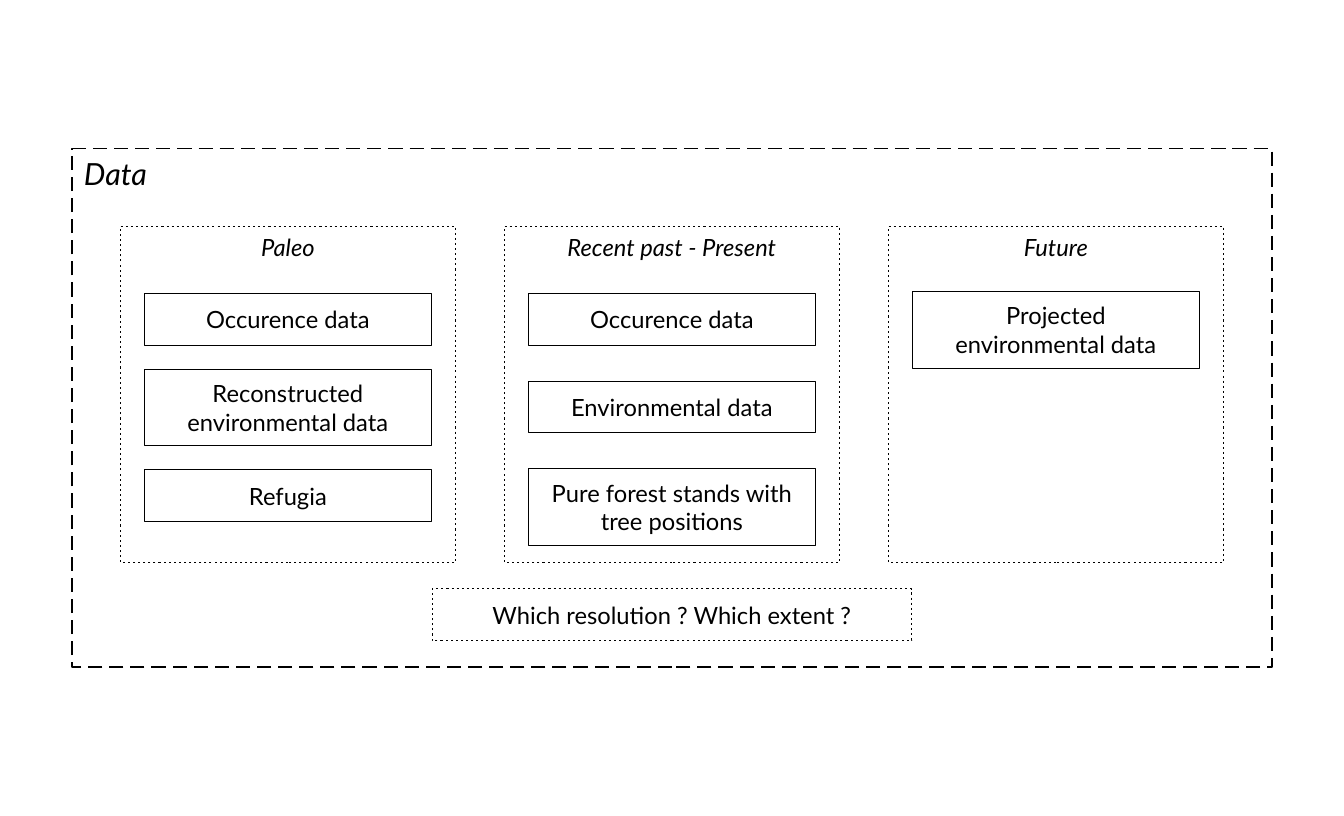
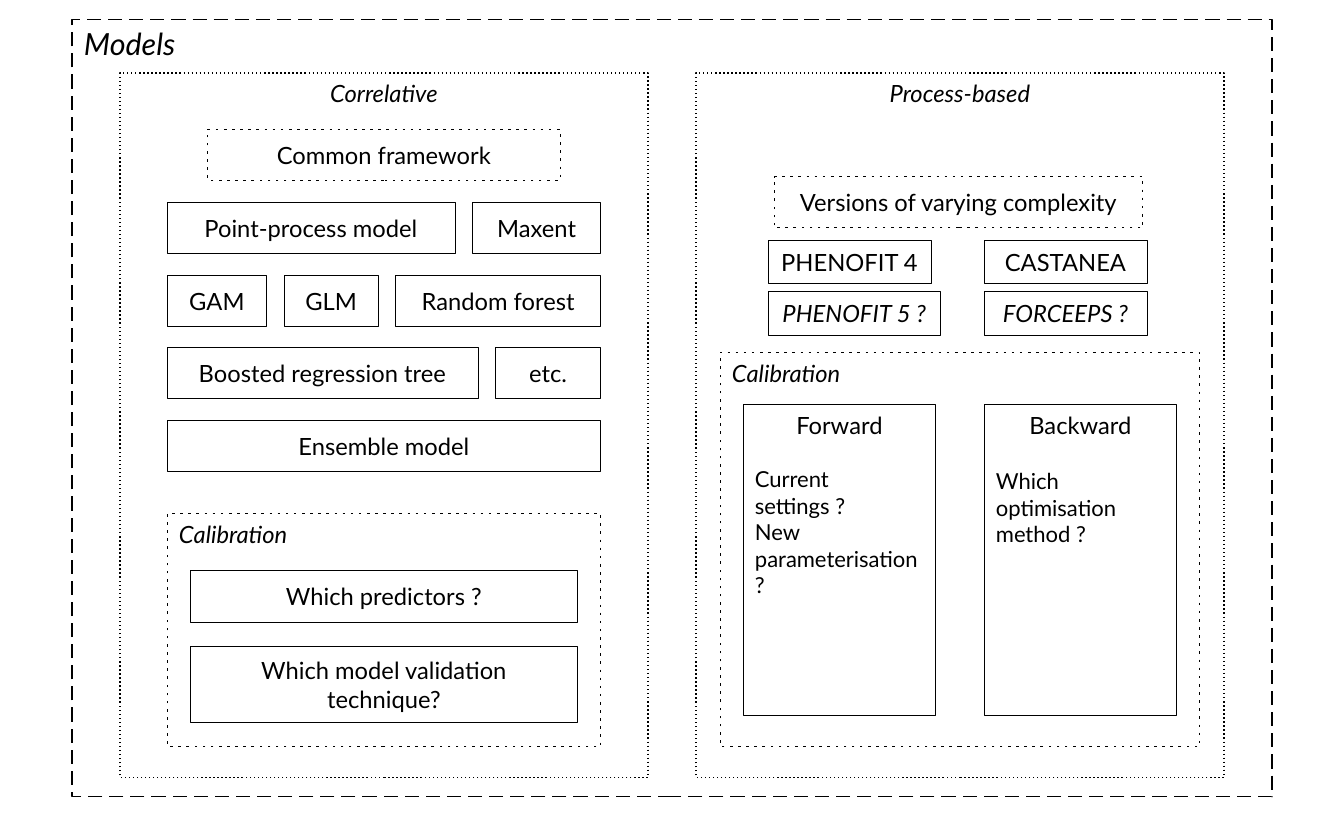
import pptx
import pptx.util
import pptx.dml.color
import pptx.enum.shapes
import pptx.enum.text
import pptx.oxml
import pptx.oxml.ns

Cm = pptx.util.Cm
Pt = pptx.util.Pt
ALIGN = pptx.enum.text.PP_ALIGN
ANCHOR = pptx.enum.text.MSO_ANCHOR

COLORS = {"ink": "000000"}
FONT = "Lato"
BOX_H, TALL_H, BOX_GAP = 1.07, 1.6, 0.5
STYLES = {
    "frame": (0.79, (1050, 520)),
    "column": (0.79, (100, 200)),
    "dotted": (0.5, (240, 350)),
    "loose": (0.5, (300, 640)),
    "solid": (0.5, None),
}

DATA_COLUMNS = [
    ("Paleo", 6.12, BOX_GAP, [
        (["Occurence data"], BOX_H),
        (["Reconstructed environmental data"], TALL_H),
        (["Refugia"], BOX_H)]),
    ("Recent past - Present", 6.12, 0.75, [
        (["Occurence data"], BOX_H),
        (["Environmental data"], BOX_H),
        (["Pure forest stands with tree positions"], TALL_H)]),
    ("Future", 6.07, BOX_GAP, [
        (["Projected", "environmental data"], TALL_H)]),
]
DATA_QUESTION = "Which resolution ? Which extent ?"

MODEL_COLUMNS = ["Correlative", "Process-based"]
CORRELATIVE_ROWS = [
    [("Point-process model", 6), ("Maxent", 2.68)],
    [("GAM", 2.08), ("GLM", 1.96), ("Random forest", 4.28)],
    [("Boosted regression tree", 6.48), ("etc.", 2.2)],
    [("Ensemble model", 9.04)],
]
CORRELATIVE_CALIBRATION = [
    ("Which predictors ?", BOX_H),
    ("Which model validation technique?", TALL_H),
]
PROCESS_MODELS = [
    ("PHENOFIT 4", 16, 5, 3.4, False),
    ("CASTANEA", 20.5, 5, 3.4, False),
    ("PHENOFIT 5 ?", 16, 6.07, 3.6, True),
    ("FORCEEPS ?", 20.5, 6.07, 3.4, True),
]
PROCESS_CALIBRATION = [
    ("Forward", 15.6, ["Current settings ?", "New parameterisation ?"]),
    ("Backward", 16.8, ["Which optimisation method ?"]),
]


def add_text(tf, text, size=14, italic=False, align=ALIGN.CENTER, first=False, before=0):
    p = tf.paragraphs[0] if first else tf.add_paragraph()
    p.alignment = align
    if before:
        p.space_before = Pt(before)
    r = p.add_run()
    r.text = text
    r.font.name = FONT
    r.font.size = Pt(size)
    r.font.italic = italic
    r.font.bold = False
    r.font.color.rgb = pptx.dml.color.RGBColor.from_string(COLORS["ink"])


def format_box(sp, style, anchor):
    width, dash = STYLES[style]
    sp.fill.background()
    sp.line.color.rgb = pptx.dml.color.RGBColor.from_string(COLORS["ink"])
    sp.line.width = Pt(width)
    if dash:
        ns = pptx.oxml.ns.nsdecls("a")
        on, off = (n * 1000 for n in dash)
        sp.line.fill._xPr.append(pptx.oxml.parse_xml(
            f'<a:custDash {ns}><a:ds d="{on}" sp="{off}"/></a:custDash>'))
    tf = sp.text_frame
    tf.word_wrap = True
    tf.auto_size = pptx.enum.text.MSO_AUTO_SIZE.NONE
    tf.vertical_anchor = anchor
    tf.margin_left = tf.margin_right = Cm(0.25)
    tf.margin_top = tf.margin_bottom = Cm(0.13)
    return tf


def add_box(s, x, y, w, h, texts, style="solid", anchor=ANCHOR.MIDDLE, **fmt):
    sp = s.shapes.add_shape(pptx.enum.shapes.MSO_SHAPE.RECTANGLE, Cm(x), Cm(y), Cm(w), Cm(h))
    sp.shadow.inherit = False
    tf = format_box(sp, style, anchor)
    for i, text in enumerate(texts):
        add_text(tf, text, first=i == 0, **fmt)
    return tf


def add_group(s, x, y, w, h, label, style, align=ALIGN.CENTER):
    add_box(s, x, y, w, h, [label], style, ANCHOR.TOP, italic=True, align=align)


def add_slide(prs, title, y, h):
    s = prs.slides.add_slide(prs.slide_layouts[5])
    sp = s.shapes.title
    sp.left, sp.top, sp.width, sp.height = Cm(1.5), Cm(y), Cm(25), Cm(h)
    tf = format_box(sp, "frame", ANCHOR.TOP)
    add_text(tf, title, size=18, italic=True, align=ALIGN.LEFT, first=True)
    return s


def build_data(prs):
    s = add_slide(prs, "Data", 3.1, 10.8)
    for i, (label, y, gap, boxes) in enumerate(DATA_COLUMNS):
        x = 2.5 + 8 * i
        add_group(s, x, 4.72, 7, 7, label, "dotted")
        for texts, h in boxes:
            add_box(s, x + 0.5, y, 6, h, texts)
            y += h + gap
    add_box(s, 9, 12.27, 10, BOX_H, [DATA_QUESTION], "dotted")


def build_models(prs):
    s = add_slide(prs, "Models", 0.4, 16.2)
    for i, label in enumerate(MODEL_COLUMNS):
        add_group(s, 2.5 + 12 * i, 1.52, 11, 14.68, label, "column")

    left = 3.48
    add_box(s, 4.33, 2.69, 7.34, BOX_H, ["Common framework"], "loose")
    for i, row in enumerate(CORRELATIVE_ROWS):
        x = left
        for text, w in row:
            add_box(s, x, 4.22 + 1.51 * i, w, BOX_H, [text])
            x += w + 0.36
    add_group(s, left, 10.7, 9.04, 4.85, "Calibration", "loose", ALIGN.LEFT)
    y = 11.89
    for text, h in CORRELATIVE_CALIBRATION:
        add_box(s, left + 0.48, y, 8.08, h, [text])
        y += h + BOX_GAP

    add_box(s, 16.13, 3.68, 7.68, BOX_H, ["Versions of varying complexity"], "loose")
    for text, x, y, w, italic in PROCESS_MODELS:
        add_box(s, x, y, w, 0.91, [text], italic=italic)
    add_group(s, 15, 7.34, 10, 8.21, "Calibration", "loose", ALIGN.LEFT)
    for i, (label, before, questions) in enumerate(PROCESS_CALIBRATION):
        tf = add_box(s, 15.48 + 5.02 * i, 8.43, 4.02, 6.48, [label], anchor=ANCHOR.TOP)
        for n, text in enumerate(questions):
            add_text(tf, text, size=13, align=ALIGN.LEFT, before=0 if n else before)


def main():
    prs = pptx.Presentation()
    prs.slide_width, prs.slide_height = Cm(28), Cm(17)
    build_data(prs)
    build_models(prs)
    prs.save("out.pptx")


if __name__ == "__main__":
    main()
